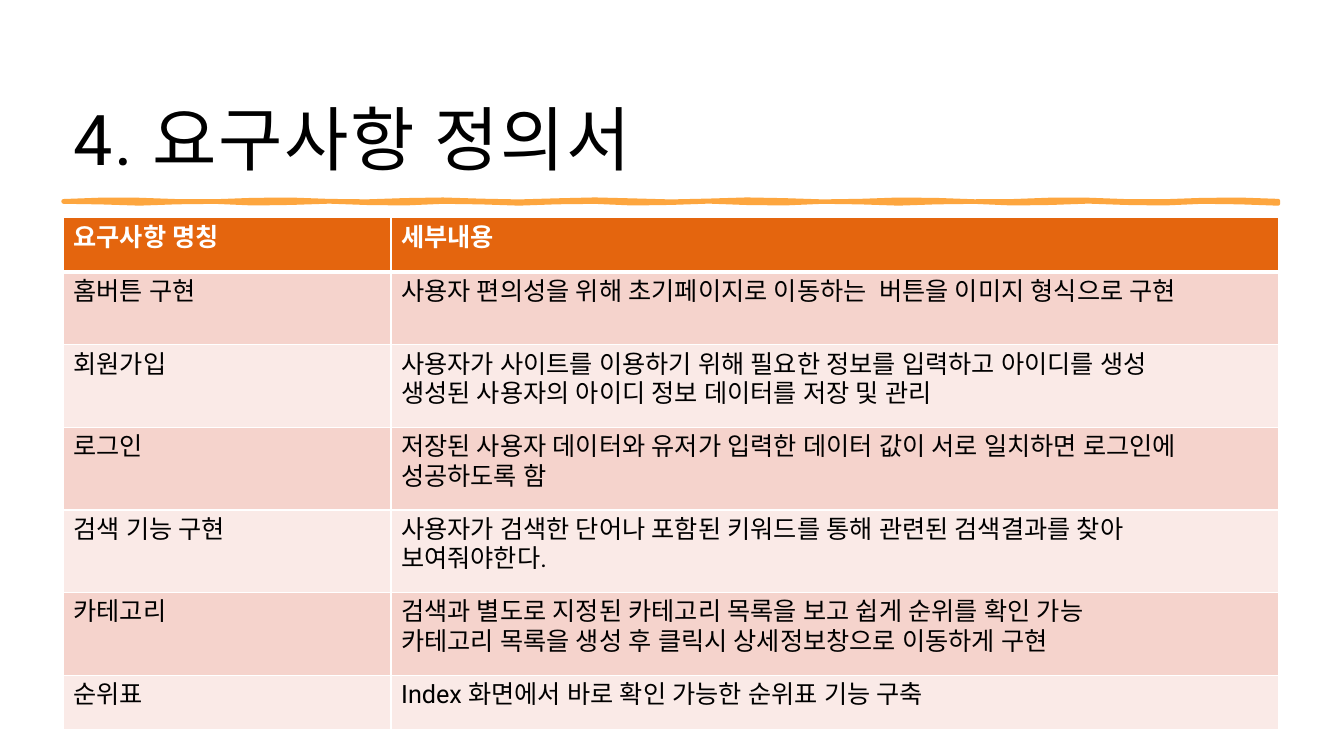
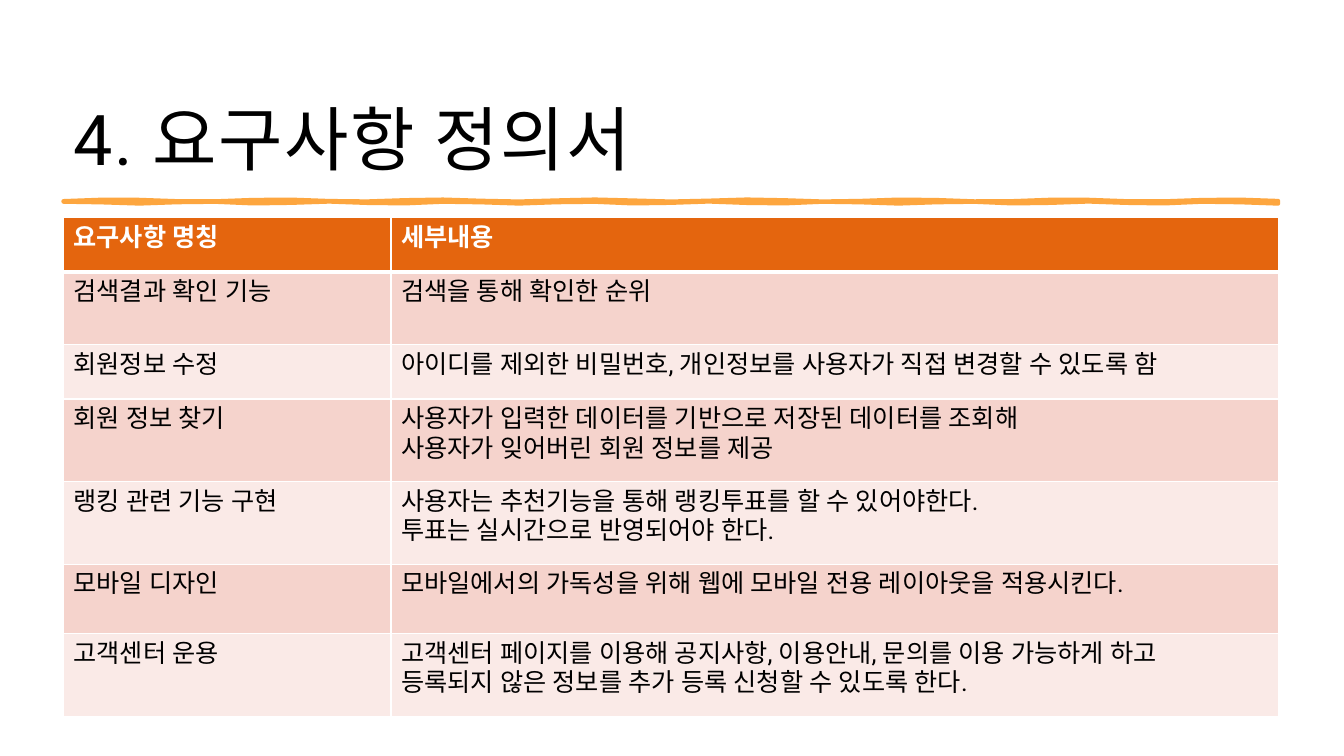
from math import sin
from lxml.etree import SubElement
from pptx import Presentation
from pptx.dml.color import RGBColor as RGB
from pptx.enum.shapes import MSO_SHAPE as Shape
from pptx.enum.text import MSO_ANCHOR as Anchor
from pptx.oxml.ns import qn
from pptx.util import Inches, Pt

COLORS = {
    "white": "FFFFFF", "black": "000000", "head": "E4650E",
    "rose": "F5D3CC", "pale": "FAEAE7", "brush": "FDA63F",
}
FONT = "Roboto"
WIDE, HIGH = Inches(40 / 3), Inches(7.5)
LEFT, WIDTH = 0.63, 12.05
TITLE = "4. 요구사항 정의서"
HEAD = ("요구사항 명칭", "세부내용")
COLS = (3.25, 8.8)
ROW, TALL, PAIR = 0.54, 0.72, 0.82

# Each row: name, detail, height
BASIC = [
    ("홈버튼 구현", "사용자 편의성을 위해 초기페이지로 이동하는  버튼을 이미지 형식으로 구현", TALL),
    ("회원가입", "사용자가 사이트를 이용하기 위해 필요한 정보를 입력하고 아이디를 생성\n"
     "생성된 사용자의 아이디 정보 데이터를 저장 및 관리", PAIR),
    ("로그인", "저장된 사용자 데이터와 유저가 입력한 데이터 값이 서로 일치하면 로그인에 성공하도록 함", PAIR),
    ("검색 기능 구현", "사용자가 검색한 단어나 포함된 키워드를 통해 관련된 검색결과를 찾아 보여줘야한다.", PAIR),
    ("카테고리", "검색과 별도로 지정된 카테고리 목록을 보고 쉽게 순위를 확인 가능\n"
     "카테고리 목록을 생성 후 클릭시 상세정보창으로 이동하게 구현", PAIR),
    ("순위표", "Index 화면에서 바로 확인 가능한 순위표 기능 구축", ROW),
]
EXTRA = [
    ("검색결과 확인 기능", "검색을 통해 확인한 순위", TALL),
    ("회원정보 수정", "아이디를 제외한 비밀번호, 개인정보를 사용자가 직접 변경할 수 있도록 함", ROW),
    ("회원 정보 찾기", "사용자가 입력한 데이터를 기반으로 저장된 데이터를 조회해\n"
     "사용자가 잊어버린 회원 정보를 제공", PAIR),
    ("랭킹 관련 기능 구현", "사용자는 추천기능을 통해 랭킹투표를 할 수 있어야한다.\n"
     "투표는 실시간으로 반영되어야 한다.", PAIR),
    ("모바일 디자인", "모바일에서의 가독성을 위해 웹에 모바일 전용 레이아웃을 적용시킨다.", 0.69),
    ("고객센터 운용", "고객센터 페이지를 이용해 공지사항, 이용안내, 문의를 이용 가능하게 하고\n"
     "등록되지 않은 정보를 추가 등록 신청할 수 있도록 한다.", PAIR),
]


def color(name):
    return RGB.from_string(COLORS[name])


def paint(item, name):
    item.fill.solid()
    item.fill.fore_color.rgb = color(name)


def add_run(para, text, size, tint, bold=False):
    run = para.add_run()
    run.text = text
    font = run.font
    font.name, font.size, font.bold = FONT, Pt(size), bold
    font.color.rgb = color(tint)
    # Hangul and its spaces use the East Asian font slot
    SubElement(font._element, qn("a:ea"), typeface=FONT)
    return run


def add_back(slide):
    back = slide.shapes.add_shape(Shape.RECTANGLE, 0, 0, WIDE, HIGH)
    back.shadow.inherit = False
    paint(back, "white")
    back.line.fill.background()


def add_title(slide):
    box = slide.shapes.add_textbox(Inches(LEFT), Inches(0.26), Inches(WIDTH), Inches(1.57))
    frame = box.text_frame
    frame.word_wrap = True
    frame.vertical_anchor = Anchor.BOTTOM
    run = add_run(frame.paragraphs[0], TITLE, 50, "black")
    run.font._element.set("spc", "100")


def add_brush(slide):
    """Draw the uneven brush stroke below the title."""
    steps = 32
    xs = [LEFT + WIDTH * i / steps for i in range(steps + 1)]
    top = [(x, 1.99 + 0.01 * sin(4 * x)) for x in xs]
    base = [(x, 2.01 + 0.01 * sin(5 * x + 1)) for x in reversed(xs)]
    dots = [(Inches(x), Inches(y)) for x, y in top + base]
    form = slide.shapes.build_freeform(*dots[0])
    form.add_line_segments(dots[1:], close=True)
    brush = form.convert_to_shape()
    brush.shadow.inherit = False
    paint(brush, "brush")
    brush.line.color.rgb = color("brush")
    brush.line.width = Pt(3)


def add_edges(cell, top, base):
    props = cell._tc.get_or_add_tcPr()
    for side, width in (("L", 1), ("R", 1), ("T", top), ("B", base)):
        line = SubElement(props, qn("a:ln" + side), w=str(Pt(width)))
        fill = SubElement(line, qn("a:solidFill"))
        SubElement(fill, qn("a:srgbClr"), val=COLORS["white"])


def fill_cell(cell, text, row):
    head = row == 0
    add_edges(cell, 3 if row == 1 else 1, 3 if head else 1)
    paint(cell, "head" if head else ("pale", "rose")[row % 2])
    frame = cell.text_frame
    for i, line in enumerate(text.split("\n")):
        para = frame.add_paragraph() if i else frame.paragraphs[0]
        add_run(para, line, 18, "white" if head else "black", head)


def add_grid(slide, items):
    rows = [(*HEAD, ROW)] + items
    high = sum(item[2] for item in rows)
    grid = slide.shapes.add_table(len(rows), len(COLS), Inches(LEFT), Inches(2.16),
                                  Inches(WIDTH), Inches(high)).table
    grid.horz_banding = False
    for col, width in zip(grid.columns, COLS):
        col.width = Inches(width)
    for r, (name, text, height) in enumerate(rows):
        grid.rows[r].height = Inches(height)
        fill_cell(grid.cell(r, 0), name, r)
        fill_cell(grid.cell(r, 1), text, r)


def main():
    deck = Presentation()
    deck.slide_width, deck.slide_height = WIDE, HIGH
    for items in (BASIC, EXTRA):
        slide = deck.slides.add_slide(deck.slide_layouts[6])
        add_back(slide)
        add_title(slide)
        add_brush(slide)
        add_grid(slide, items)
    deck.save("out.pptx")


main()
